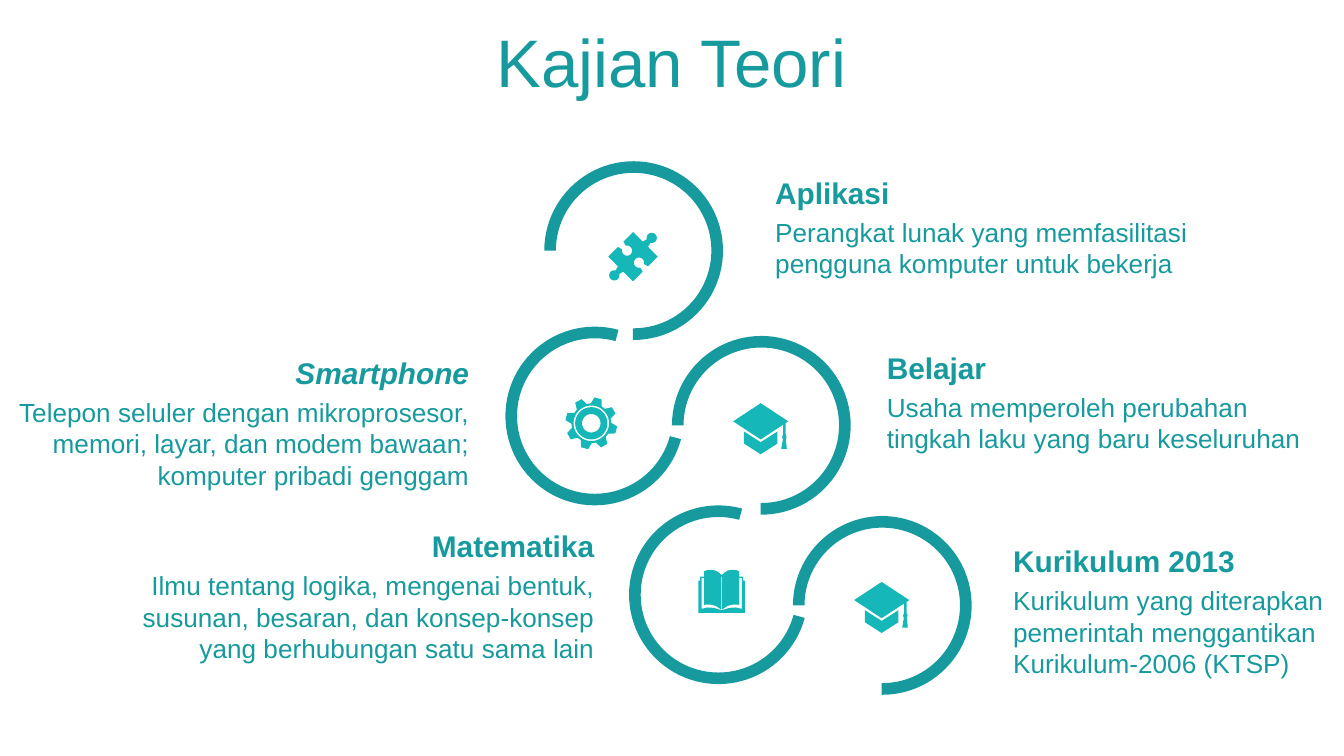
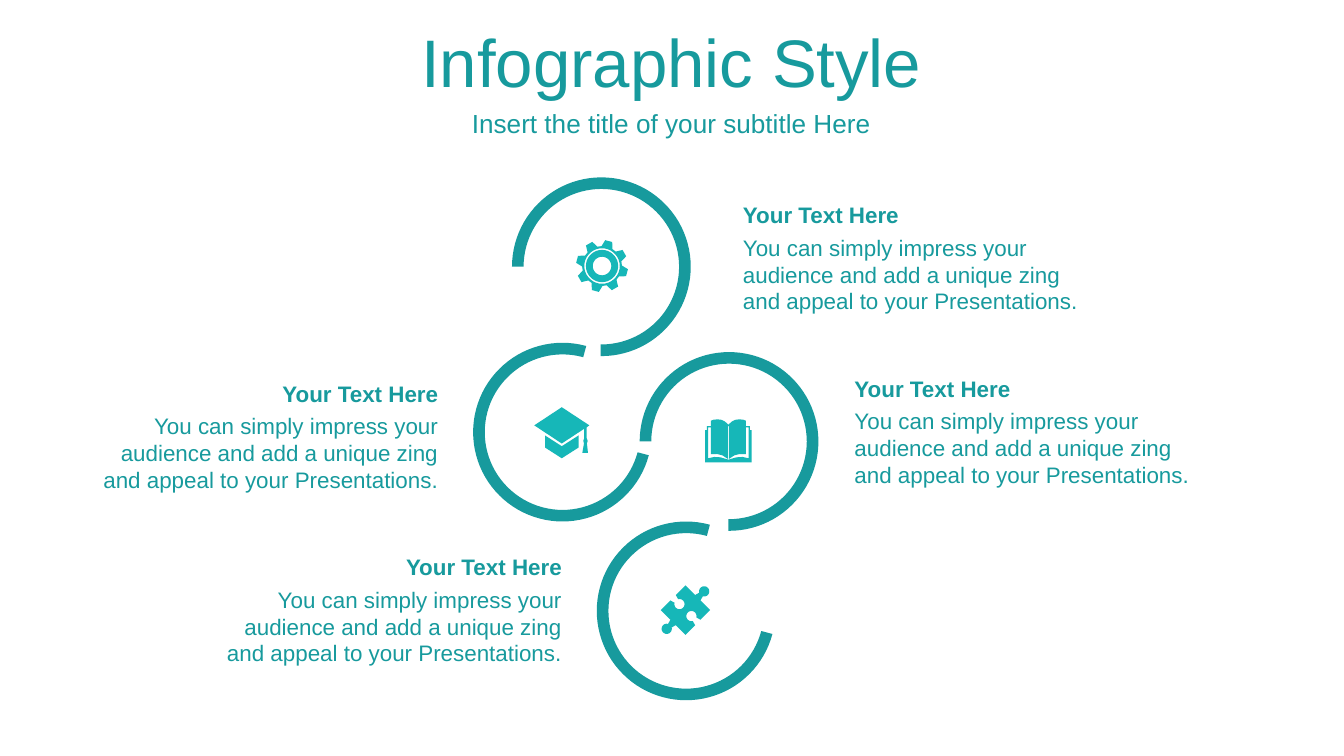
from dataclasses import dataclass
from math import cos, radians, sin
from typing import NamedTuple

from pptx import Presentation
from pptx.dml.color import RGBColor
from pptx.enum.shapes import MSO_SHAPE
from pptx.enum.text import MSO_ANCHOR, PP_ALIGN
from pptx.util import Inches, Pt

BLOCK_ARC = MSO_SHAPE.BLOCK_ARC
LEFT, CENTER, RIGHT = PP_ALIGN.LEFT, PP_ALIGN.CENTER, PP_ALIGN.RIGHT
TOP, MIDDLE = MSO_ANCHOR.TOP, MSO_ANCHOR.MIDDLE

# Shared style
SLIDE_WIDTH = Inches(10)
SLIDE_HEIGHT = SLIDE_WIDTH * 9 // 16
FONT = "Arial"
TEAL = "179A9D"
TURQUOISE = "16B7B8"
RING_SIZE = 1.33
RING_ADJUSTMENTS = (108, 54.26, 6.5 / 100)
TURNED = 195
HEADING_HEIGHT = 0.29

Points = list[tuple[float, float]]


class Icon(NamedTuple):
    """Outlines in hundredths of an inch around the centre, before rotation."""
    outlines: list[Points]
    rotation: float = 0


class Ring(NamedTuple):
    left: float
    top: float
    rotation: float
    icon: Icon
    icon_x: float
    icon_y: float


@dataclass
class Topic:
    left: float
    top: float
    width: float
    heading: str
    lines: list[str]
    align: PP_ALIGN = LEFT
    heading_width: float = 0
    body_height: float = 0.69
    italic: bool = False


@dataclass
class Infographic:
    title: str
    rings: list[Ring]
    topics: list[Topic]
    heading_size: float
    body_size: float
    body_offset: float
    subtitle: str = ""


# Icon geometry
def turn(points: Points, degrees: float) -> Points:
    c, s = cos(radians(degrees)), sin(radians(degrees))
    return [(x * c - y * s, x * s + y * c) for x, y in points]


def mirror(points: Points) -> Points:
    return points + [(-x, y) for x, y in reversed(points)]


def circle(radius: float) -> Points:
    return [turn([(0, -radius)], angle)[0] for angle in range(0, 360, 10)]


def gear_icon() -> Icon:
    tooth = [(-16.5, 14.8), (-8, 19.4), (8, 19.4), (16.5, 14.8)]
    rim = [turn([(0, -radius)], 15 + 45 * index + angle)[0]
           for index in range(8) for angle, radius in tooth]
    return Icon([rim, circle(13.2), circle(12), circle(6.9)])


def puzzle_icon() -> Icon:
    half = 13
    outline: Points = []
    for side in range(4):
        outward = 1 if side % 2 == 0 else -1
        knob = [(-3.8 * sin(radians(a)), 6.7 - 3.8 * cos(radians(a)))
                for a in range(30, 331, 15)]
        profile = [(-half, 0), (-2.8, 0), *knob, (2.8, 0)]
        edge = [(x, -half - outward * height) for x, height in profile]
        outline += turn(edge, 90 * side)
    return Icon([outline], 45)


def cap_icon() -> Icon:
    base = mirror([(0, 10), (12.5, 2), (12.5, 11), (0, 19)])
    board = [(0, -19), (20.5, -5.5), (18.5, -4), (18.5, 4), (19.3, 6),
             (18.7, 8), (19.5, 15), (15.3, 15), (16.5, 8), (16, 6),
             (16.7, 4), (16.7, -3), (0, 8), (-20.5, -5.5)]
    return Icon([turn(base, 90), turn(board, 90)], 270)


def book_icon() -> Icon:
    cover = mirror([(0, -12), (2.5, -14.3), (5, -15.6), (8, -16), (11, -15.7),
                    (13, -15), (13, -11), (16, -11), (16, -8), (17.3, -8),
                    (17.3, 16)])
    gaps = mirror([(0.3, -11), (0.3, 13.5), (4.5, 10.8), (8.5, 9.8), (13, 10),
                   (13, -10), (15, -10), (15, 13), (10.5, 12), (6, 12.3),
                   (0, 14)])
    return Icon([cover, gaps])


GEAR, PUZZLE, CAP, BOOK = gear_icon(), puzzle_icon(), cap_icon(), book_icon()


# Drawing
def color(value: str) -> RGBColor:
    return RGBColor.from_string(value)


def paint(shape, fill: str) -> None:
    shape.shadow.inherit = False
    shape.fill.solid()
    shape.fill.fore_color.rgb = color(fill)
    shape.line.fill.background()


def add_text(slide, box: tuple[float, float, float, float], lines: list[str],
             size: float, align: PP_ALIGN, anchor: MSO_ANCHOR = TOP,
             bold: bool = False, italic: bool = False) -> None:
    frame = slide.shapes.add_textbox(*map(Inches, box)).text_frame
    frame.word_wrap = True
    frame.vertical_anchor = anchor
    font_format = {"name": FONT, "size": Pt(size), "bold": bold,
                   "italic": italic}
    for index, line in enumerate(lines):
        paragraph = frame.add_paragraph() if index else frame.paragraphs[0]
        paragraph.alignment = align
        run = paragraph.add_run()
        run.text = line
        for name, value in font_format.items():
            setattr(run.font, name, value)
        run.font.color.rgb = color(TEAL)


def add_icon(slide, icon: Icon, center_x: float, center_y: float) -> None:
    outlines = [[(Inches(center_x + x / 100), Inches(center_y + y / 100))
                 for x, y in outline] for outline in icon.outlines]
    builder = slide.shapes.build_freeform(*outlines[0][0])
    for index, outline in enumerate(outlines):
        if index:
            builder.move_to(*outline[0])
        builder.add_line_segments(outline[1:], close=True)
    shape = builder.convert_to_shape()
    # Turn about the icon's own centre
    shape.rotation = icon.rotation
    paint(shape, TURQUOISE)


def add_ring(slide, ring: Ring) -> None:
    shape = slide.shapes.add_shape(
        BLOCK_ARC, Inches(ring.left), Inches(ring.top),
        Inches(RING_SIZE), Inches(RING_SIZE))
    for index, value in enumerate(RING_ADJUSTMENTS):
        shape.adjustments[index] = value
    shape.rotation = ring.rotation
    paint(shape, TEAL)
    add_icon(slide, ring.icon, ring.icon_x, ring.icon_y)


def add_topic(slide, topic: Topic, style: Infographic) -> None:
    body_box = (topic.left, topic.top + style.body_offset,
                topic.width, topic.body_height)
    add_text(slide, body_box, topic.lines, style.body_size, topic.align)
    width = topic.heading_width or topic.width
    # Right-aligned headings share the right edge of their body
    left = topic.left + (topic.width - width if topic.align == RIGHT else 0)
    add_text(slide, (left, topic.top, width, HEADING_HEIGHT), [topic.heading],
             style.heading_size, topic.align, bold=True, italic=topic.italic)


def add_infographic(presentation, content: Infographic) -> None:
    slide = presentation.slides.add_slide(presentation.slide_layouts[6])
    add_text(slide, (0, 0.14, 9.99, 0.62), [content.title], 36, CENTER, MIDDLE)
    if content.subtitle:
        add_text(slide, (0, 0.76, 9.99, 0.31), [content.subtitle], 14,
                 CENTER, MIDDLE)
    for ring in content.rings:
        add_ring(slide, ring)
    for topic in content.topics:
        add_topic(slide, topic, content)


# Content
THEORY = Infographic(
    title="Kajian Teori",
    heading_size=16, body_size=14, body_offset=0.31,
    rings=[
        Ring(4.68, 3.76, TURNED, BOOK, 5.37, 4.4),
        Ring(4.05, 1.2, 0, PUZZLE, 4.71, 1.91),
        Ring(5, 2.5, 0, CAP, 5.66, 3.19),
        Ring(3.76, 2.43, TURNED, GEAR, 4.4, 3.15),
        Ring(5.9, 3.84, 0, CAP, 6.56, 4.52),
    ],
    topics=[
        Topic(-0.08, 2.59, 3.67, "Smartphone",
              ["Telepon seluler dengan mikroprosesor,",
               "memori, layar, dan modem bawaan;",
               "komputer pribadi genggam"],
              RIGHT, heading_width=3.2, italic=True),
        Topic(0.83, 3.88, 3.69, "Matematika",
              ["Ilmu tentang logika, mengenai bentuk,",
               "susunan, besaran, dan konsep-konsep",
               "yang berhubungan satu sama lain"],
              RIGHT, heading_width=3.26),
        Topic(5.67, 1.25, 3.47, "Aplikasi",
              ["Perangkat lunak yang memfasilitasi",
               "pengguna komputer untuk bekerja"], heading_width=2.77),
        Topic(6.5, 2.55, 3.42, "Belajar",
              ["Usaha memperoleh perubahan",
               "tingkah laku yang baru keseluruhan"]),
        Topic(7.44, 3.99, 2.56, "Kurikulum 2013",
              ["Kurikulum yang diterapkan",
               "pemerintah menggantikan",
               "Kurikulum-2006 (KTSP)"], body_height=1.08),
    ],
)

SAMPLE_HEADING = "Your Text Here"
SAMPLE_LINES = ["You can simply impress your audience and add a unique zing "
                "and appeal to your Presentations."]
SAMPLE_PLACES = [(0.59, 2.78, RIGHT), (1.51, 4.07, RIGHT),
                 (5.43, 1.45, LEFT), (6.26, 2.74, LEFT)]

SAMPLE = Infographic(
    title="Infographic Style",
    subtitle="Insert the title of your subtitle Here",
    heading_size=12, body_size=12, body_offset=0.24,
    rings=[
        Ring(3.81, 1.32, 0, GEAR, 4.48, 1.98),
        Ring(3.52, 2.55, TURNED, CAP, 4.18, 3.22),
        Ring(4.76, 2.62, 0, BOOK, 5.42, 3.28),
        Ring(4.44, 3.88, TURNED, PUZZLE, 5.1, 4.54),
    ],
    topics=[Topic(left, top, 2.77, SAMPLE_HEADING, SAMPLE_LINES, align)
            for left, top, align in SAMPLE_PLACES],
)


def main() -> None:
    presentation = Presentation()
    presentation.slide_width = SLIDE_WIDTH
    presentation.slide_height = SLIDE_HEIGHT
    for content in (THEORY, SAMPLE):
        add_infographic(presentation, content)
    presentation.save("out.pptx")


if __name__ == "__main__":
    main()
